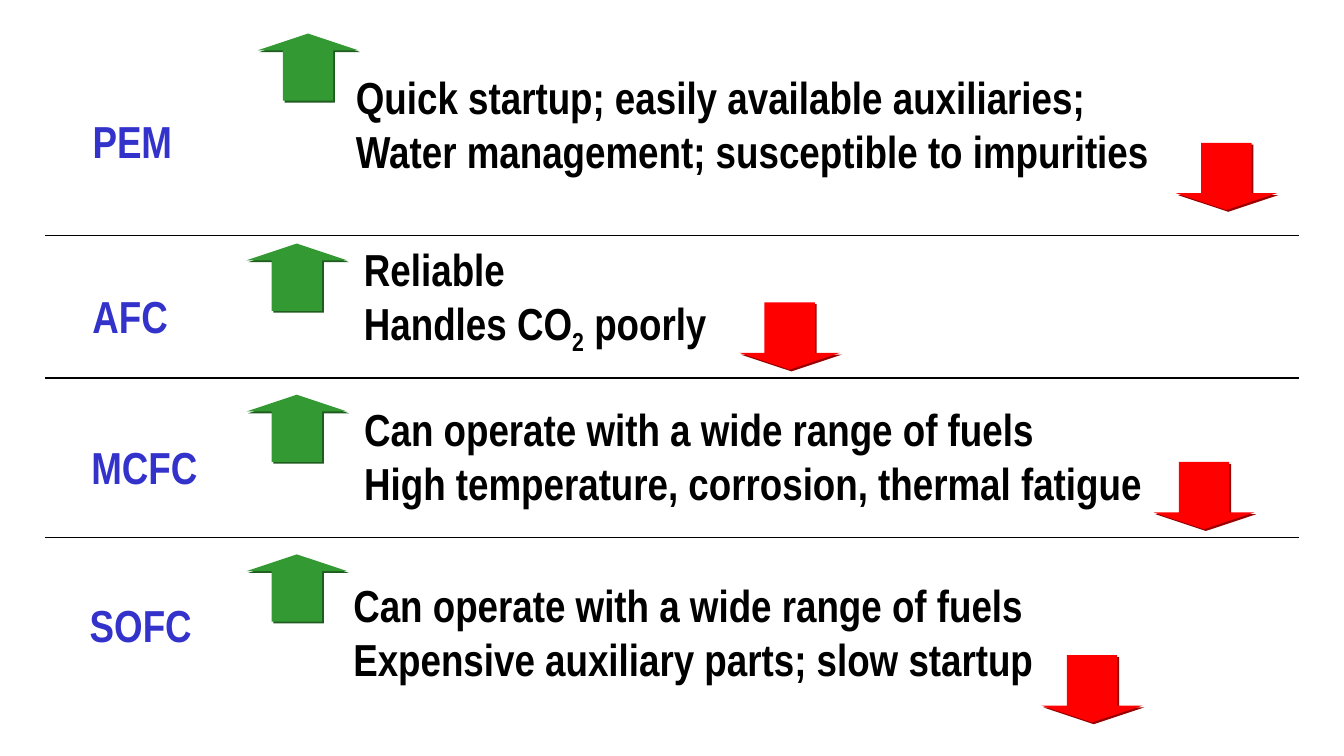
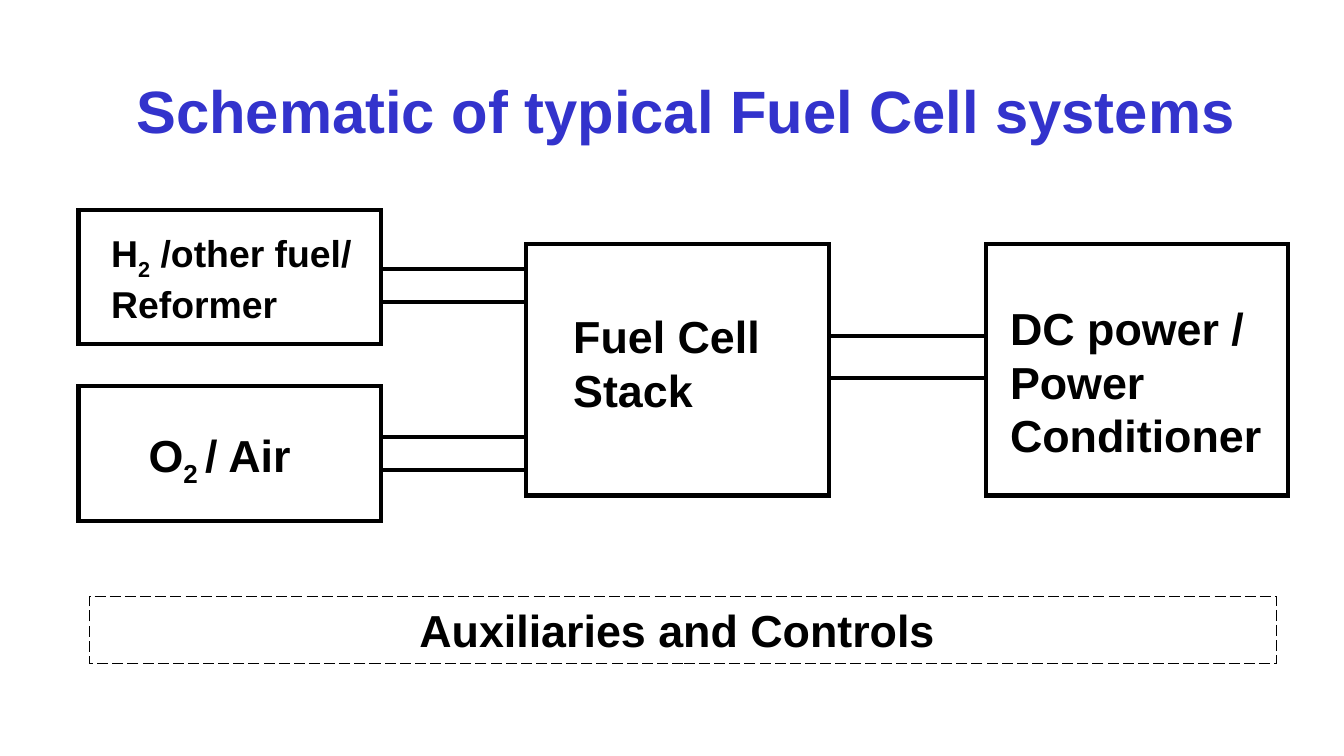
import pptx
import pptx.dml.color
import pptx.enum.dml
import pptx.enum.shapes
import pptx.enum.text
import pptx.oxml
import pptx.oxml.ns
import pptx.util
from lxml import etree

Pt = pptx.util.Pt
SHAPES = pptx.enum.shapes.MSO_SHAPE

# Shared look
COLOURS = {
    "heading": "3333CC", "text": "000000", "line": "000000",
    "pro": "339933", "pro_shadow": "1F5C1F",
    "con": "FF0000", "con_shadow": "990000",
}
THIN, THICK = 0.75, 2.25

# Slide 1: each cell type with its name, advantage and drawback
# box: left, top, width, height; arrows: left, top
CELL_TYPES = [
    {"name": "PEM", "name_box": (42.5, 57.6, 56.9, 36),
     "notes": ["Quick startup; easily available auxiliaries;",
               "Water management; susceptible to impurities"],
     "notes_box": (183.6, 33.8, 441, 64.8),
     "pro": (138, 18), "con": (630, 76.5)},
    {"name": "AFC", "name_box": (42.5, 151.2, 54.7, 36),
     "notes": ["Reliable", "Handles CO_2_ poorly"],
     "notes_box": (187.9, 126, 198, 69.1),
     "pro": (132, 130.5), "con": (396, 162)},
    {"name": "MCFC", "name_box": (41.8, 231.8, 71.3, 36),
     "notes": ["Can operate with a wide range of fuels",
               "High temperature, corrosion, thermal fatigue"],
     "notes_box": (188, 211.7, 433, 64.8),
     "pro": (132, 211.5), "con": (618, 247.5)},
    {"name": "SOFC", "name_box": (41, 316.8, 69.1, 36),
     "notes": ["Can operate with a wide range of fuels",
               "Expensive auxiliary parts; slow startup"],
     "notes_box": (182.2, 306, 378.7, 64.8),
     "pro": (132, 297), "con": (558, 351)},
]
DIVIDER_LEFT, DIVIDER_RIGHT = 24, 696
DIVIDER_TOPS = [126, 202.5, 288]
ARROW_SIZE = (54, 36)

# Slide 2: blocks, the pipes between them, and the controls bar
TITLE = "Schematic of typical Fuel Cell systems"
TITLE_BOX = (66, 36, 624, 46)
BLOCKS = {
    "fuel": {"frame": (42, 112.5, 162, 72), "text": "H_2_ /other fuel/ Reformer",
             "text_box": (52.5, 120, 144, 59), "size": 20, "wrap": True},
    "air": {"frame": (42, 207, 162, 72), "text": "O_2 _/ Air",
            "text_box": (72.5, 225.4, 91.4, 40), "size": 24, "wrap": False},
    "stack": {"frame": (282, 130.5, 162, 135), "text": "Fuel Cell Stack",
              "text_box": (300, 162, 126, 64.8), "size": 24, "wrap": True},
    "power": {"frame": (528, 130.5, 162, 135), "text": "DC power / Power Conditioner",
              "text_box": (534, 157.5, 156, 93.6), "size": 24, "wrap": True},
}
PIPES = [("fuel", "stack", (144, 162)), ("air", "stack", (234, 252)),
         ("stack", "power", (180, 202.5))]
CONTROLS = "Auxiliaries and Controls "
CONTROLS_BOX = (48, 319.5, 636, 36)


def rgb(name):
    return pptx.dml.color.RGBColor.from_string(COLOURS[name])


def write(shape, lines, size, font, colour="text", wrap=True, align="LEFT"):
    """Fill a shape with bold lines; text between underscores is subscript."""
    frame = shape.text_frame
    frame.word_wrap = wrap
    frame.auto_size = pptx.enum.text.MSO_AUTO_SIZE.SHAPE_TO_FIT_TEXT
    for index, line in enumerate(lines):
        para = frame.paragraphs[0] if index == 0 else frame.add_paragraph()
        para.alignment = getattr(pptx.enum.text.PP_ALIGN, align)
        para.font.size, para.font.name, para.font.bold = Pt(size), font, True
        para.font.color.rgb = rgb(colour)
        for part, text in enumerate(line.split("_")):
            span = para.add_run()
            span.text = text
            if part % 2:
                span.font._element.set("baseline", "-25000")


def add_text(page, box, lines, size, font, **style):
    write(page.shapes.add_textbox(*map(Pt, box)), lines, size, font, **style)


def add_frame(page, box, width):
    frame = page.shapes.add_shape(SHAPES.RECTANGLE, *map(Pt, box))
    frame.shadow.inherit = False
    frame.fill.background()
    frame.line.color.rgb = rgb("line")
    frame.line.width = Pt(width)
    # Square corners
    outline = frame._element.spPr.find(pptx.oxml.ns.qn("a:ln"))
    etree.SubElement(outline, pptx.oxml.ns.qn("a:miter"), lim="800000")
    return frame


def add_level_line(page, left, right, top, width):
    line = page.shapes.add_connector(
        pptx.enum.shapes.MSO_CONNECTOR.STRAIGHT, Pt(left), Pt(top), Pt(right), Pt(top))
    line.line.color.rgb = rgb("line")
    line.line.width = Pt(width)
    etree.SubElement(line._element.spPr, pptx.oxml.ns.qn("a:effectLst"))


def add_arrow(page, corner, kind):
    arrow = page.shapes.add_shape(SHAPES.UP_ARROW, *map(Pt, corner + ARROW_SIZE))
    arrow.adjustments[0], arrow.adjustments[1] = 0.5, 0.25
    arrow.rotation = 180 if kind == "con" else 0
    arrow.fill.solid()
    arrow.fill.fore_color.rgb = rgb(kind)
    arrow.line.fill.background()
    # Hard shadow, down and to the right
    arrow.shadow.inherit = False
    effects = arrow._element.spPr.find(pptx.oxml.ns.qn("a:effectLst"))
    effects.append(pptx.oxml.parse_xml(
        f'<a:outerShdw {pptx.oxml.ns.nsdecls("a")} dist="{Pt(1.4)}" dir="2700000" '
        f'rotWithShape="0"><a:srgbClr val="{COLOURS[kind + "_shadow"]}"/></a:outerShdw>'))


def build_comparison(page):
    for top in DIVIDER_TOPS:
        add_level_line(page, DIVIDER_LEFT, DIVIDER_RIGHT, top, THIN)
    for cell in CELL_TYPES:
        add_text(page, cell["name_box"], [cell["name"]], 24, "Arial Narrow",
                 colour="heading", wrap=False)
        add_text(page, cell["notes_box"], cell["notes"], 24, "Arial Narrow", wrap=False)
        for kind in ("pro", "con"):
            add_arrow(page, cell[kind], kind)


def build_schematic(page):
    add_text(page, TITLE_BOX, [TITLE], 32, "Arial", colour="heading")
    for block in BLOCKS.values():
        add_frame(page, block["frame"], THICK)
        add_text(page, block["text_box"], [block["text"]], block["size"], "Arial",
                 wrap=block["wrap"])
    for source, target, tops in PIPES:
        left, _, width, _ = BLOCKS[source]["frame"]
        for top in tops:
            add_level_line(page, left + width, BLOCKS[target]["frame"][0], top, THICK)
    controls = add_frame(page, CONTROLS_BOX, THIN)
    controls.line.dash_style = pptx.enum.dml.MSO_LINE.LONG_DASH
    write(controls, [CONTROLS], 24, "Arial", align="CENTER")
    controls.text_frame.vertical_anchor = pptx.enum.text.MSO_ANCHOR.TOP


def main():
    deck = pptx.Presentation()
    deck.slide_width, deck.slide_height = Pt(720), Pt(405)
    for build in (build_comparison, build_schematic):
        build(deck.slides.add_slide(deck.slide_layouts[6]))
    deck.save("out.pptx")


if __name__ == "__main__":
    main()
